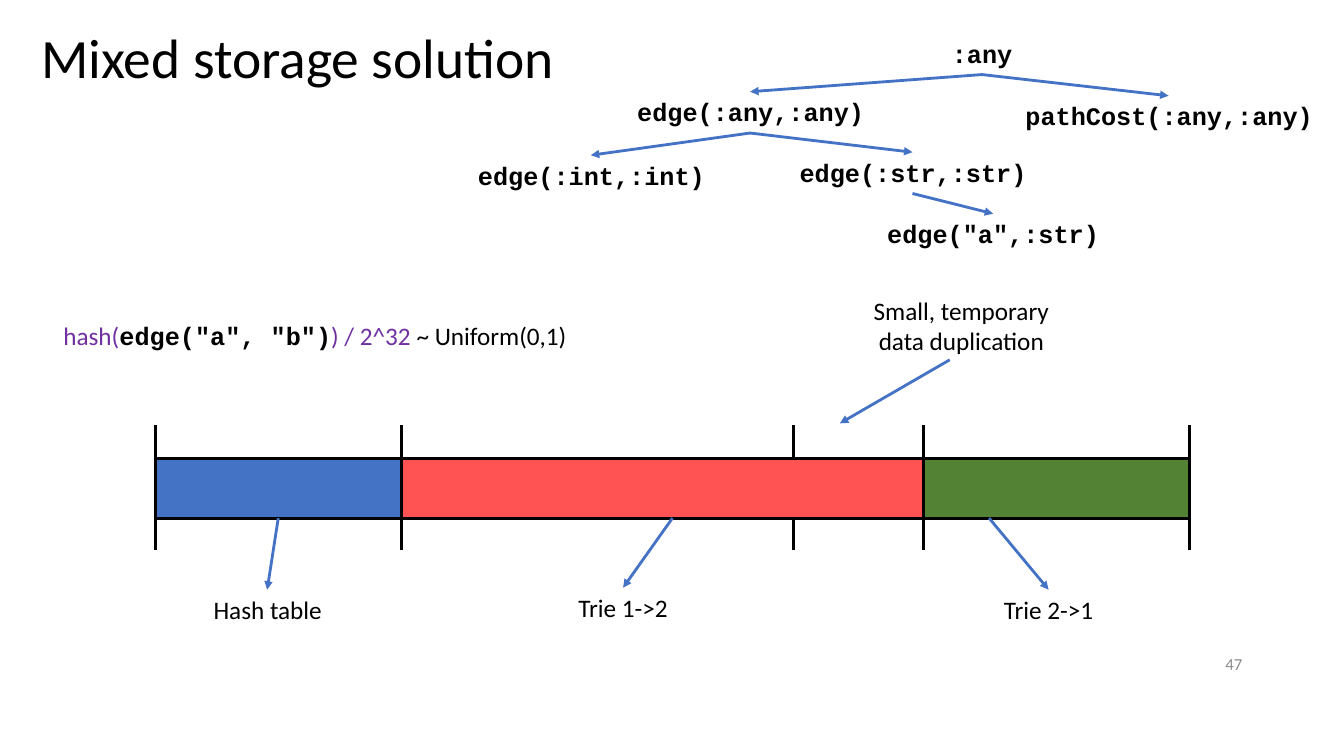
from lxml import etree
from pptx import Presentation, util as u
from pptx.dml.color import RGBColor
from pptx.enum import shapes, text
from pptx.oxml.ns import qn

PX = 9144  # 100 px to the inch
COLORS = {"black": "000000", "blue": "4472C4", "red": "FF5353",
          "green": "548235", "purple": "7030A0", "gray": "8C8C8C"}
SANS, MONO = "Calibri", "Courier New"
LEFT, CENTER, RIGHT = text.PP_ALIGN.LEFT, text.PP_ALIGN.CENTER, text.PP_ALIGN.RIGHT


def rgb(name):
    return RGBColor.from_string(COLORS[name])


def emu(*lengths):
    return [u.Emu(length * PX) for length in lengths]


class StorageSlide:
    def __init__(self, prs):
        self.slide = prs.slides.add_slide(prs.slide_layouts[5])

    def style(self, font, face=SANS, size=18, color="black", bold=False):
        font.name, font.size, font.bold = face, u.Pt(size), bold
        font.color.rgb = rgb(color)

    def title(self, words, x, y, w, h):
        title = self.slide.shapes.title
        title.left, title.top, title.width, title.height = emu(x, y, w, h)
        frame = title.text_frame
        frame.text = words
        frame.auto_size = text.MSO_AUTO_SIZE.NONE
        frame.vertical_anchor = text.MSO_ANCHOR.MIDDLE
        line = frame.paragraphs[0]
        line.alignment, line.line_spacing = LEFT, 0.9
        self.style(line.font, size=39.6)

    def label(self, runs, x, y, w, h=40, align=CENTER, wrap=True,
              anchor=text.MSO_ANCHOR.TOP, **style):
        """Runs are one string, or (words, style) pairs."""
        frame = self.slide.shapes.add_textbox(*emu(x, y, w, h)).text_frame
        frame.word_wrap = wrap
        frame.vertical_anchor = anchor
        line = frame.paragraphs[0]
        line.alignment = align
        if isinstance(runs, str):
            line.text = runs
            self.style(line.font, **style)
            return
        for words, run_style in runs:
            run = line.add_run()
            run.text = words
            self.style(run.font, **run_style)

    def bar(self, x, y, w, h, fill=None, outline=None):
        bar = self.slide.shapes.add_shape(shapes.MSO_SHAPE.RECTANGLE, *emu(x, y, w, h))
        bar.shadow.inherit = False
        if fill:
            bar.fill.solid()
            bar.fill.fore_color.rgb = rgb(fill)
        else:
            bar.fill.background()
        if outline:
            bar.line.color.rgb = rgb(outline)
            bar.line.width = u.Pt(2.25)
        else:
            bar.line.fill.background()

    def line(self, start, end, color="black", width=2.25, arrow=False):
        line = self.slide.shapes.add_connector(
            shapes.MSO_CONNECTOR.STRAIGHT, *emu(*start, *end))
        line.line.color.rgb = rgb(color)
        line.line.width = u.Pt(width)
        if arrow:
            etree.SubElement(line.line._get_or_add_ln(), qn("a:tailEnd"), type="triangle")
        etree.SubElement(line._element.spPr, qn("a:effectLst"))

    def arrow(self, start, end):
        self.line(start, end, "blue", 2, arrow=True)


def main():
    prs = Presentation()
    prs.slide_width, prs.slide_height = emu(1333, 750)
    page = StorageSlide(prs)

    # Heading and page number
    page.title("Mixed storage solution", 31, 27, 1150, 66)
    page.label("47", 942, 639, 300, align=RIGHT, size=12, color="gray",
               anchor=text.MSO_ANCHOR.MIDDLE)

    # Pattern tree: words, centre, top, parent
    tree = {
        "root": (":any", 974, 33, None),
        "edge": ("edge(:any,:any)", 744, 91, "root"),
        "path_cost": ("pathCost(:any,:any)", 1159, 95, "root"),
        "int": ("edge(:int,:int)", 586, 154, "edge"),
        "str": ("edge(:str,:str)", 905, 151, "edge"),
        "a_str": ('edge("a",:str)', 985, 212, "str"),
    }
    for words, center, top, parent in tree.values():
        width = 15 * len(words) + 20
        page.label(words, center - width // 2, top, width, wrap=False,
                   face=MONO, bold=True)
        if parent:
            _, parent_center, parent_top, _ = tree[parent]
            page.arrow((parent_center, parent_top + 41), (center, top))

    # Hash formula
    page.label([("hash(", {"color": "purple"}),
                ('edge("a", "b")', {"face": MONO, "bold": True}),
                (") / 2^32", {"color": "purple"}),
                (" ~ Uniform(0,1)", {})],
               53, 313, 539, align=LEFT, wrap=False)

    # Range bar; the start of the duplicated range lies behind it
    bar_top, bar_height, tick_top, tick_bottom = 455, 59, 422, 546
    edges = [154, 398, 916, 1180]
    page.line((787, tick_top), (787, tick_bottom))
    for fill, left, right in zip(("blue", "red", "green"), edges, edges[1:]):
        page.bar(left, bar_top, right - left, bar_height, fill)
    for edge in edges:
        page.line((edge, tick_top), (edge, tick_bottom))
    page.bar(edges[0], bar_top, edges[-1] - edges[0], bar_height, outline="black")

    # Names of the stores: words, centre, top, width, arrow start
    for words, center, top, width, start in (("Hash table", 265, 585, 129, 276),
                                             ("Trie 1->2", 618, 583, 110, 667),
                                             ("Trie 2->1", 1040, 585, 110, 981)):
        page.arrow((start, bar_top + bar_height), (center, top))
        page.label(words, center - width // 2, top, width)

    # Duplication remark
    page.label("Small, temporary data duplication", 845, 288, 217, 71)
    page.arrow((942, 357), (833, 420))

    prs.save("out.pptx")


if __name__ == "__main__":
    main()
